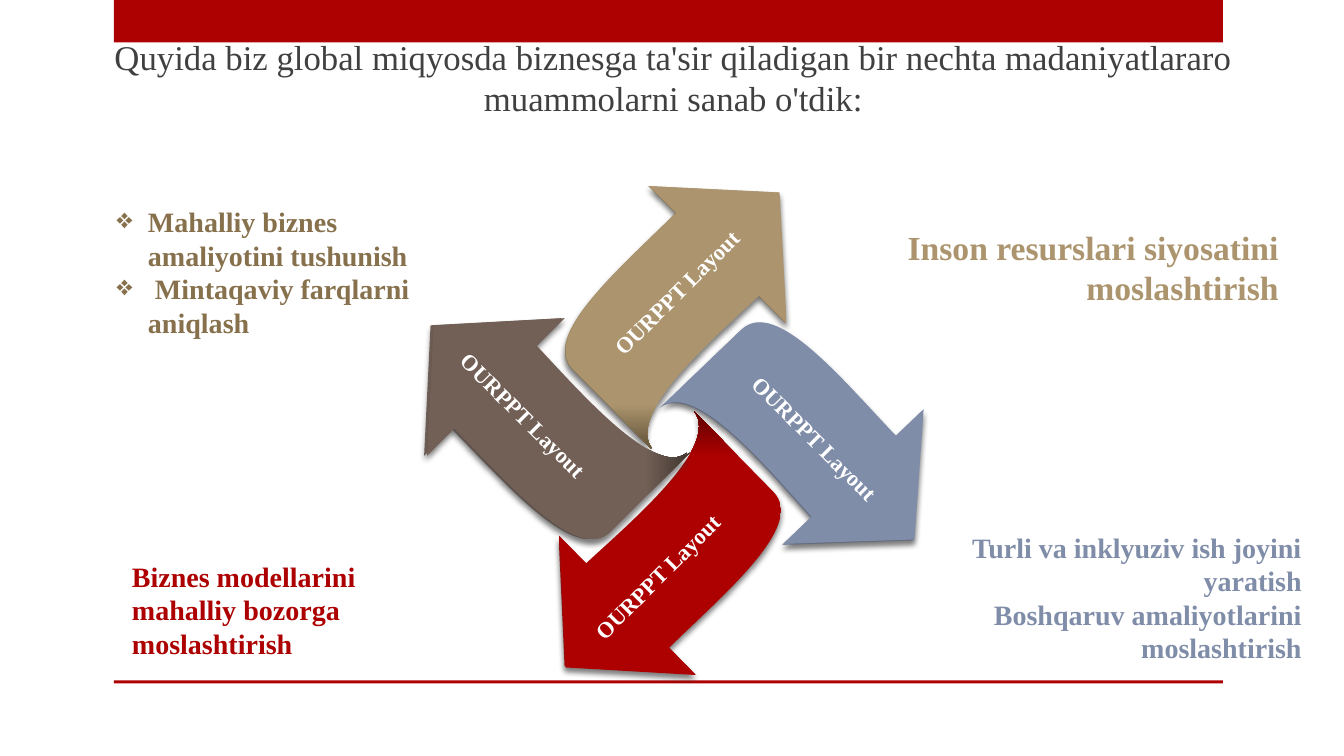
import pptx
import pptx.util
import pptx.dml.color
import pptx.enum.shapes
import pptx.enum.text
import pptx.oxml
import pptx.oxml.ns
from dataclasses import dataclass

Align = pptx.enum.text.PP_ALIGN
Anchor = pptx.enum.text.MSO_ANCHOR
rgb = pptx.dml.color.RGBColor.from_string
qn = pptx.oxml.ns.qn


@dataclass
class Theme:
    font: str = "Times New Roman"
    red: str = "AD0101"
    tan: str = "AC956E"
    blue: str = "808DA9"
    brown: str = "726056"
    olive: str = "87714D"
    white: str = "FFFFFF"
    ink: str = "404040"
    title_size: float = 24.8
    large: float = 24
    body: float = 20
    label: float = 16


theme = Theme()
deck = pptx.Presentation()
deck.slide_width = pptx.util.Inches(13.33)
deck.slide_height = pptx.util.Inches(7.5)
cell = deck.slide_width // 1333
slide = deck.slides.add_slide(deck.slide_layouts[5])


def grid(*cells):
    return [round(count * cell) for count in cells]


def write(frame, lines, size, color, bold=True, align=Align.LEFT,
          anchor=Anchor.TOP, inset=10, bullet=None):
    frame.word_wrap = True
    frame.auto_size = pptx.enum.text.MSO_AUTO_SIZE.NONE
    frame.vertical_anchor = anchor
    frame.margin_left = frame.margin_right = grid(inset)[0]
    frame.text = "\n".join(lines)
    for paragraph in frame.paragraphs:
        paragraph.alignment = align
        if bullet:
            properties = paragraph._p.get_or_add_pPr()
            indent = grid(31)[0]
            properties.set("marL", str(indent))
            properties.set("indent", str(-indent))
            properties.append(pptx.oxml.parse_xml(
                f'<a:buChar {pptx.oxml.ns.nsdecls("a")} char="{bullet}"/>'))
        for run in paragraph.runs:
            run.font.name = theme.font
            run.font.size = pptx.util.Pt(size)
            run.font.bold = bold
            run.font.color.rgb = rgb(color)


for top, height in [(0, 42), (675, 3)]:
    band = slide.shapes.add_shape(
        pptx.enum.shapes.MSO_SHAPE.RECTANGLE, *grid(113, top, 1100, height))
    band.shadow.inherit = False
    band.fill.solid()
    band.fill.fore_color.rgb = rgb(theme.red)
    band.line.fill.background()

heading = slide.shapes.title
heading.left, heading.top, heading.width, heading.height = grid(35, 37, 1266, 79)
write(heading.text_frame,
      ["Quyida biz global miqyosda biznesga ta'sir qiladigan bir nechta "
       "madaniyatlararo muammolarni sanab o'tdik:"],
      size=theme.title_size, color=theme.ink, bold=False,
      align=Align.CENTER, anchor=Anchor.MIDDLE)

arrow_outline = [(0, 87), (96.5, 0), (193, 87), (154.5, 87),
                 (152, 153), (144, 263), (186, 269),
                 (75, 269), (29, 268), (38.5, 162), (38.5, 87)]
curve_starts = [3, 7]
arrows = [
    ([(581, 152), (582, 152)], 45, 315, theme.tan, "5A4B33"),
    ([(716, 305), (717, 304)], 136.2, 270, theme.blue, "3C4559"),
    ([(559, 432), (560, 433)], 225.5, 315, theme.red, "560000"),
    ([(426, 283), (429, 283)], 315, 315, theme.brown, "39302B"),
]
shadow_xml = (
    f'<a:outerShdw {pptx.oxml.ns.nsdecls("a")} blurRad="{pptx.util.Pt(4)}" '
    f'dist="{pptx.util.Pt(3)}" dir="5400000" algn="t" rotWithShape="0">'
    f'<a:srgbClr val="{theme.ink}"><a:alpha val="43000"/></a:srgbClr></a:outerShdw>')

for corners, turn, shade_angle, light, dark in arrows:
    for corner in corners:
        builder = slide.shapes.build_freeform(*arrow_outline[0], scale=cell)
        builder.add_line_segments(arrow_outline[1:], close=True)
        arrow = builder.convert_to_shape(*grid(*corner))
        segments = list(arrow._element.iter(qn("a:lnTo")))
        for start in curve_starts:
            curve = pptx.oxml.parse_xml(
                f'<a:cubicBezTo {pptx.oxml.ns.nsdecls("a")}/>')
            segments[start].addprevious(curve)
            for segment in segments[start:start + 3]:
                curve.append(segment[0])
                segment.getparent().remove(segment)
        arrow.rotation = turn
        arrow.fill.gradient()
        arrow.fill.gradient_angle = shade_angle
        for stop, position, color in zip(
                arrow.fill.gradient_stops, (0.85, 1), (light, dark)):
            stop.position = position
            stop.color.rgb = rgb(color)
        arrow.line.fill.background()
        arrow.shadow.inherit = False
        arrow._element.spPr.find(qn("a:effectLst")).append(
            pptx.oxml.parse_xml(shadow_xml))

for left, top, turn in [(575, 267, 315), (712, 421, 45),
                        (556, 549, 315), (423, 398, 45)]:
    arrow_label = slide.shapes.add_textbox(*grid(left, top, 201, 37))
    arrow_label.rotation = turn
    write(arrow_label.text_frame, ["OURPPT Layout"],
          size=theme.label, color=theme.white, inset=12)

challenges = [
    ((121, 550, 339, 111),
     ["Biznes modellarini mahalliy bozorga moslashtirish"],
     dict(size=theme.body, color=theme.red)),
    ((106, 198, 350, 175),
     ["Mahalliy biznes amaliyotini tushunish", " Mintaqaviy farqlarni aniqlash"],
     dict(size=theme.body, color=theme.olive, bullet="❖")),
    ((951, 521, 350, 145),
     ["Turli va inklyuziv ish joyini yaratish",
      "Boshqaruv amaliyotlarini moslashtirish"],
     dict(size=theme.body, color=theme.blue, align=Align.RIGHT)),
    ((870, 220, 408, 91),
     ["Inson resurslari siyosatini moslashtirish"],
     dict(size=theme.large, color=theme.tan, align=Align.RIGHT)),
]
for area, lines, style in challenges:
    challenge = slide.shapes.add_textbox(*grid(*area))
    write(challenge.text_frame, lines, **style)

deck.save("out.pptx")
